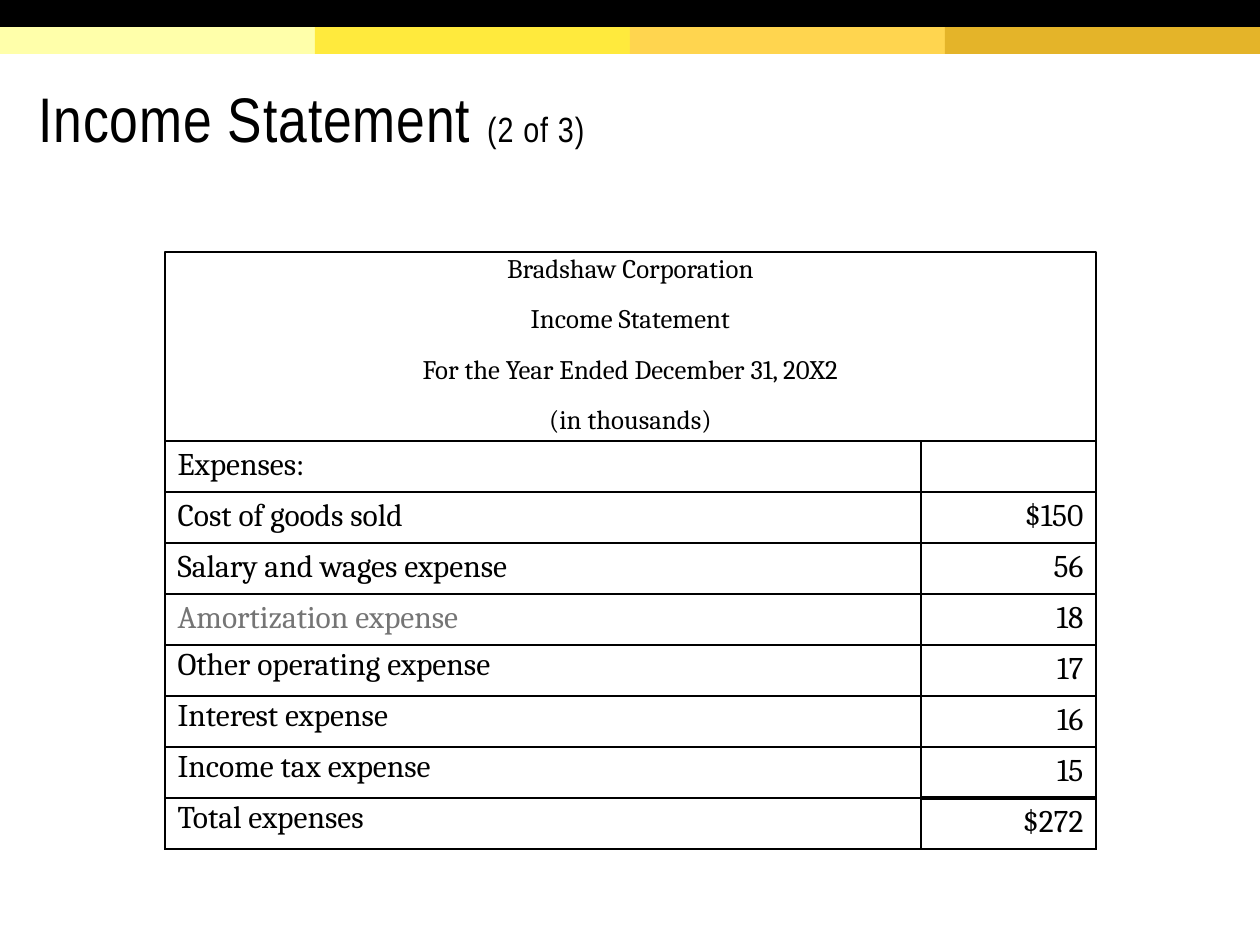
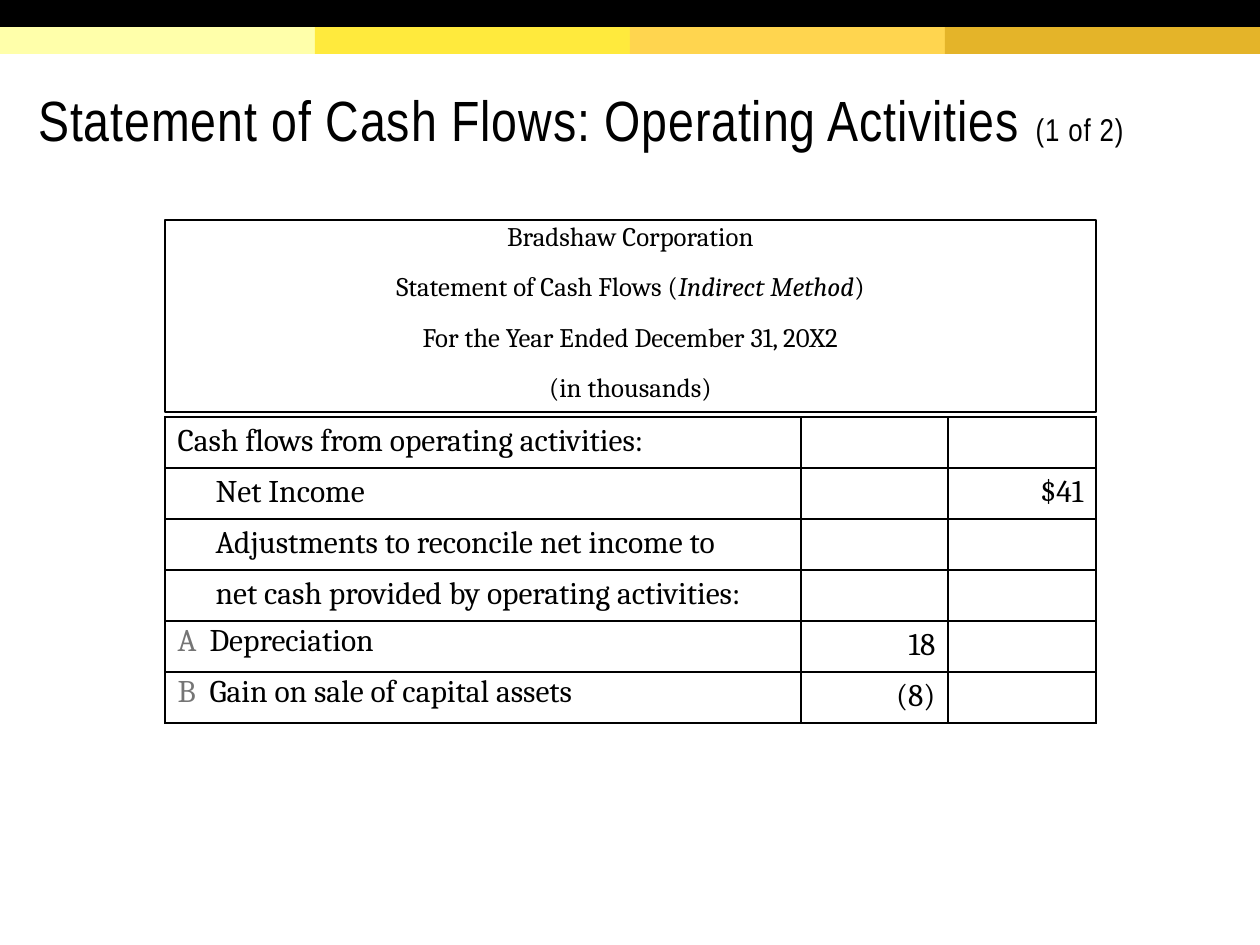
import pptx
import pptx.dml.color
import pptx.enum.text
import pptx.oxml
import pptx.oxml.ns
import pptx.util

RGBColor = pptx.dml.color.RGBColor
ALIGN = pptx.enum.text.PP_ALIGN
ANCHOR = pptx.enum.text.MSO_ANCHOR

BLACK = RGBColor(0x00, 0x00, 0x00)
WHITE = RGBColor(0xFF, 0xFF, 0xFF)
GREY = RGBColor(0x75, 0x75, 0x75)
BAND_COLORS = [RGBColor(0xFF, 0xFF, 0xAA), RGBColor(0xFF, 0xEA, 0x3D),
               RGBColor(0xFF, 0xD5, 0x4F), RGBColor(0xE4, 0xB4, 0x29)]
TITLE_FONT, BODY_FONT = "Arial Narrow", "Cambria"

SLIDE_WIDTH, SLIDE_HEIGHT = 1260, 945
BAND_HEIGHT = 27
TITLE_BOX = (26, 59, 1196, 123)
STATEMENT_LEFT = 165
ROW_HEIGHT = 51
INDENT, LETTER_TAB = 38, 32
THIN, THICK = 1, 2.25
TIGHT = {"line_spacing": 0.85}
INDENTED = {"indent": INDENT}
LETTERED = {"line_spacing": 0.85, "tab": LETTER_TAB}

# Each row: label, label format, amounts. A text is a string or a list of (text, run format).
STATEMENTS = [
    {
        "title": "Income Statement ", "part": "(2 of 3)", "title_sizes": (36, 20),
        "heading": ["Bradshaw Corporation", "Income Statement",
                    "For the Year Ended December 31, 20X2", "(in thousands)"],
        "heading_top": 252, "heading_height": 189,
        "table_top": 441, "columns": [756, 175],
        "rows": [
            ("Expenses:", {}, [""]),
            ("Cost of goods sold", {}, ["$150"]),
            ("Salary and wages expense", {}, ["56"]),
            ("Amortization expense", {"color": GREY}, ["18"]),
            ("Other operating expense", TIGHT, ["17"]),
            ("Interest expense", TIGHT, ["16"]),
            ("Income tax expense", TIGHT, ["15"]),
            ("Total expenses", TIGHT, ["$272"]),
        ],
        "total_row": 7,
    },
    {
        "title": "Statement of Cash Flows: Operating Activities ", "part": "(1 of 2)",
        "title_sizes": (32.4, 18),
        "heading": ["Bradshaw Corporation",
                    [("Statement of Cash Flows (", {}), ("Indirect Method", {"italic": True}),
                     (")", {})],
                    "For the Year Ended December 31, 20X2", "(in thousands)"],
        "heading_top": 220, "heading_height": 192,
        "table_top": 417, "columns": [636, 147, 148],
        "rows": [
            ("Cash flows from operating activities:", {}, ["", ""]),
            ("Net Income", INDENTED, ["", "$41"]),
            ("Adjustments to reconcile net income to", INDENTED, ["", ""]),
            ("net cash provided by operating activities:", INDENTED, ["", ""]),
            ([("A\t", {"color": GREY}), ("Depreciation", {})], LETTERED, ["18", ""]),
            ([("B\t", {"color": GREY}), ("Gain on sale of capital assets", {})],
             LETTERED, ["(8)", ""]),
        ],
        "total_row": None,
    },
]


def px(length):
    return pptx.util.Emu(round(length * 914400 / 126))


def xml(tag, **attributes):
    element = pptx.oxml.parse_xml(f"<a:{tag} {pptx.oxml.ns.nsdecls('a')}/>")
    for name, value in attributes.items():
        element.set(name, str(value))
    return element


def write(paragraph, text, font=BODY_FONT, size=18, color=BLACK, italic=False, tracking=0,
          align=ALIGN.LEFT, line_spacing=None, before=0, after=0, indent=0, tab=0):
    """Fill a paragraph; text is a string or a list of (text, run format) pairs."""
    properties = paragraph._p.get_or_add_pPr()
    if indent:
        properties.set("marL", str(px(indent)))
        properties.set("indent", "0")
    if tab:
        stops = xml("tabLst")
        stops.append(xml("tab", pos=px(tab), algn="l"))
        properties.append(stops)
    paragraph.alignment = align
    paragraph.line_spacing = line_spacing
    paragraph.space_before = pptx.util.Pt(before)
    paragraph.space_after = pptx.util.Pt(after)
    paragraph.font.size = pptx.util.Pt(size)
    for words, changes in [(text, {})] if isinstance(text, str) else text:
        if not words:
            continue
        run = paragraph.add_run()
        run.text = words
        run.font.name = font
        run.font.size = pptx.util.Pt(changes.get("size", size))
        run.font.italic = changes.get("italic", italic)
        run.font.color.rgb = changes.get("color", color)
        if tracking:
            run._r.get_or_add_rPr().set("spc", str(round(tracking * 100)))


def add_bar(slide, left, top, width, color):
    bar = slide.shapes.add_shape(pptx.enum.shapes.MSO_SHAPE.RECTANGLE,
                                 px(left), px(top), px(width), px(BAND_HEIGHT))
    bar.shadow.inherit = False
    bar.fill.solid()
    bar.fill.fore_color.rgb = color
    bar.line.fill.background()


def add_bands(slide):
    width = SLIDE_WIDTH // len(BAND_COLORS)
    for index, color in enumerate(BAND_COLORS):
        add_bar(slide, index * width, BAND_HEIGHT, width, color)
    add_bar(slide, 0, 0, SLIDE_WIDTH, BLACK)


def add_title(slide, title, part, sizes):
    frame = slide.shapes.add_textbox(*map(px, TITLE_BOX)).text_frame
    frame.word_wrap = True
    frame.vertical_anchor = ANCHOR.MIDDLE
    frame.margin_left = frame.margin_right = frame.margin_top = pptx.util.Inches(0.1)
    frame.margin_bottom = pptx.util.Inches(0.05)
    write(frame.paragraphs[0], [(title, {}), (part, {"size": sizes[1]})], font=TITLE_FONT,
          size=sizes[0], tracking=0.5, line_spacing=0.85)


def add_heading(slide, lines, top, width, height):
    box = slide.shapes.add_textbox(px(STATEMENT_LEFT), px(top), px(width), px(height))
    box.line.color.rgb = BLACK
    box.line.width = pptx.util.Pt(THIN)
    frame = box.text_frame
    frame.word_wrap = True
    for index, line in enumerate(lines):
        paragraph = frame.add_paragraph() if index else frame.paragraphs[0]
        write(paragraph, line, size=15.3, align=ALIGN.CENTER, line_spacing=0.8,
              before=6 if index else 0, after=8)


def set_borders(cell, top=THIN, bottom=THIN):
    cell.fill.background()
    properties = cell._tc.get_or_add_tcPr()
    sides = [("lnL", THIN), ("lnR", THIN), ("lnT", top), ("lnB", bottom)]
    for position, (side, weight) in enumerate(sides):
        line = xml(side, w=pptx.util.Pt(weight))
        fill = xml("solidFill")
        fill.append(xml("srgbClr", val=BLACK))
        line.append(fill)
        properties.insert(position, line)


def add_statement_table(slide, top, columns, rows, total_row):
    frame = slide.shapes.add_table(len(rows), len(columns), px(STATEMENT_LEFT), px(top),
                                   px(sum(columns)), px(ROW_HEIGHT * len(rows)))
    table = frame.table
    table.first_row = table.horz_banding = False
    for column, width in zip(table.columns, columns):
        column.width = px(width)
    for row_index, (label, label_format, amounts) in enumerate(rows):
        table.rows[row_index].height = px(ROW_HEIGHT)
        label_cell = table.cell(row_index, 0)
        write(label_cell.text_frame.paragraphs[0], label, **label_format)
        set_borders(label_cell)
        for column_index, amount in enumerate(amounts, start=1):
            cell = table.cell(row_index, column_index)
            write(cell.text_frame.paragraphs[0], amount, align=ALIGN.RIGHT)
            set_borders(cell, top=THICK if row_index == total_row else THIN,
                        bottom=THICK if row_index + 1 == total_row else THIN)


def main():
    presentation = pptx.Presentation()
    presentation.slide_width = px(SLIDE_WIDTH)
    presentation.slide_height = px(SLIDE_HEIGHT)
    for statement in STATEMENTS:
        slide = presentation.slides.add_slide(presentation.slide_layouts[6])
        slide.background.fill.solid()
        slide.background.fill.fore_color.rgb = WHITE
        add_bands(slide)
        add_title(slide, statement["title"], statement["part"], statement["title_sizes"])
        add_heading(slide, statement["heading"], statement["heading_top"],
                    sum(statement["columns"]), statement["heading_height"])
        add_statement_table(slide, statement["table_top"], statement["columns"],
                            statement["rows"], statement["total_row"])
    presentation.save("out.pptx")


if __name__ == "__main__":
    main()
